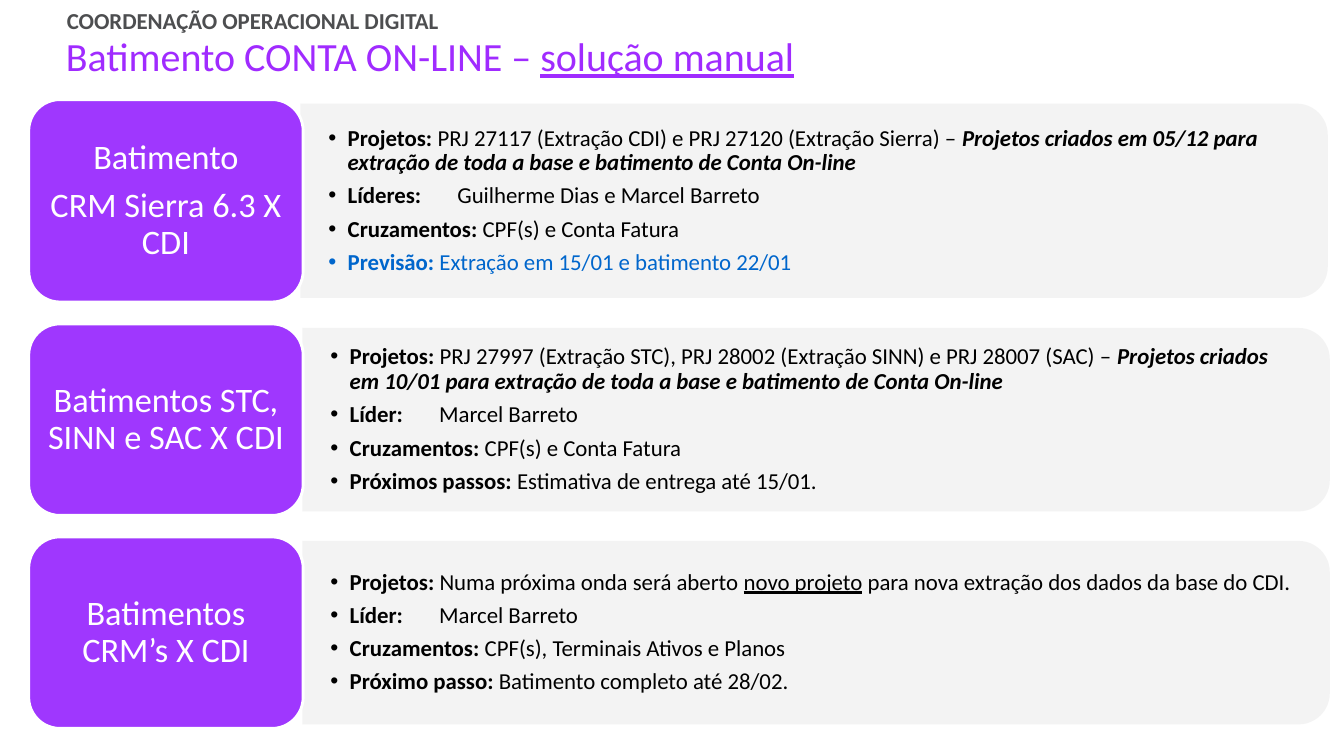
import math

from lxml import etree
from pptx import Presentation
from pptx.dml.color import RGBColor
from pptx.enum import shapes, text
from pptx.oxml import ns
from pptx.util import Cm, Pt

PURPLE = RGBColor(0x9F, 0x37, 0xFE)
TITLE_PURPLE = RGBColor(0xA0, 0x2B, 0xFF)
GRAY = RGBColor(0x4D, 0x4E, 0x50)
PANEL_GRAY = RGBColor(0xF2, 0xF2, 0xF2)
WHITE = RGBColor(0xFF, 0xFF, 0xFF)
BLACK = RGBColor(0, 0, 0)
BLUE = RGBColor(0, 0x66, 0xCC)

LABEL_LEFT, LABEL_WIDTH = 0.71, 6.78
PANEL_WIDTH = 25.38
PANEL_INSET = 0.1
RADIUS = 0.77

# Each item: colour, tab stop in cm (or None), then runs of (text, style letters)
STAGES = [
    dict(top=2.46, height=5, panel_left=7.42,
         label=["Batimento", "CRM Sierra 6.3 X CDI"],
         items=[
             (BLACK, None, [
                 ("Projetos: ", "b"),
                 ("PRJ 27117 (Extração CDI) e PRJ 27120 (Extração Sierra) – ", ""),
                 ("Projetos criados em 05/12 para extração de toda a base "
                  "e batimento de Conta On-line", "bi")]),
             (BLACK, 3.19, [("Líderes:\t", "b"),
                            ("Guilherme Dias e Marcel Barreto", "")]),
             (BLACK, None, [("Cruzamentos:", "b"), (" CPF(s) e Conta Fatura", "")]),
             (BLUE, None, [("Previsão: ", "b"),
                           ("Extração em 15/01 e batimento 22/01", "")]),
         ]),
    dict(top=8, height=4.73, panel_left=7.47,
         label=["Batimentos STC, SINN e SAC X CDI"],
         items=[
             (BLACK, None, [
                 ("Projetos: ", "b"),
                 ("PRJ 27997 (Extração STC), PRJ 28002 (Extração SINN) "
                  "e PRJ 28007 (SAC) – ", ""),
                 ("Projetos criados em 10/01 para extração de toda a base "
                  "e batimento de Conta On-line", "bi")]),
             (BLACK, 2.69, [("Líder:\t", "b"), ("Marcel Barreto", "")]),
             (BLACK, None, [("Cruzamentos: ", "b"), ("CPF(s) e Conta Fatura", "")]),
             (BLACK, None, [("Próximos passos: ", "b"),
                            ("Estimativa de entrega até 15/01.", "")]),
         ]),
    dict(top=13.26, height=4.73, panel_left=7.47,
         label=["Batimentos CRM’s X CDI"],
         items=[
             (BLACK, None, [
                 ("Projetos: ", "b"), ("Numa próxima onda será aberto ", ""),
                 ("novo projeto", "u"),
                 (" para nova extração dos dados da base do CDI.", "")]),
             (BLACK, 2.69, [("Líder:\t", "b"), ("Marcel Barreto", "")]),
             (BLACK, None, [("Cruzamentos:", "b"),
                            (" CPF(s), Terminais Ativos e Planos", "")]),
             (BLACK, None, [("Próximo passo:", "b"),
                            (" Batimento completo até 28/02.", "")]),
         ]),
]


def format_frame(frame, anchor, left, top, right, bottom):
    settings = dict(word_wrap=True, auto_size=text.MSO_AUTO_SIZE.NONE,
                    vertical_anchor=anchor, margin_left=Cm(left),
                    margin_top=Cm(top), margin_right=Cm(right),
                    margin_bottom=Cm(bottom))
    for name, value in settings.items():
        setattr(frame, name, value)


def add_run(paragraph, words, size, color, style=""):
    """Style letters: b bold, i italic, u underline."""
    run = paragraph.add_run()
    run.text = words
    settings = dict(name="Calibri", size=Pt(size), bold="b" in style,
                    italic="i" in style, underline="u" in style)
    for name, value in settings.items():
        setattr(run.font, name, value)
    run.font.color.rgb = color


def next_paragraph(frame, index):
    return frame.add_paragraph() if index else frame.paragraphs[0]


def add_bullet(paragraph, tab):
    props = paragraph._p.get_or_add_pPr()
    props.set("marL", str(Cm(0.48)))
    props.set("indent", str(-Cm(0.48)))
    etree.SubElement(props, ns.qn("a:buFont"), typeface="Arial")
    etree.SubElement(props, ns.qn("a:buChar"), char="•")
    if tab:
        tabs = etree.SubElement(props, ns.qn("a:tabLst"))
        etree.SubElement(tabs, ns.qn("a:tab"), pos=str(Cm(tab)), algn="l")


def add_heading(slide):
    title = slide.shapes.title
    title.left, title.top = Cm(1.63), Cm(0.79)
    title.width, title.height = Cm(29.8), Cm(1.12)
    format_frame(title.text_frame, text.MSO_ANCHOR.TOP, 0, 0, 0, 0)
    line = title.text_frame.paragraphs[0]
    line.alignment = text.PP_ALIGN.LEFT
    add_run(line, "Batimento CONTA ON-LINE – ", 28, TITLE_PURPLE)
    add_run(line, "solução manual", 28, TITLE_PURPLE, "u")

    area = slide.shapes.add_textbox(Cm(1.32), Cm(0.1), Cm(28.27), Cm(0.79))
    format_frame(area.text_frame, text.MSO_ANCHOR.MIDDLE, 0.33, 0.18, 0.33, 0.18)
    add_run(area.text_frame.paragraphs[0], "COORDENAÇÃO OPERACIONAL DIGITAL",
            16, GRAY, "b")


def right_rounded_outline(left, top, width, height, steps=12):
    """Corner points, clockwise, with both right corners rounded."""
    right, bottom = left + width, top + height
    points = [(left, top)]
    for start, center_y in ((-90, top + RADIUS), (0, bottom - RADIUS)):
        for step in range(steps + 1):
            angle = math.radians(start + 90 * step / steps)
            points.append((right - RADIUS + RADIUS * math.cos(angle),
                           center_y + RADIUS * math.sin(angle)))
    points.append((left, bottom))
    return [(Cm(x), Cm(y)) for x, y in points]


def add_panel(slide, stage):
    outline = right_rounded_outline(
        stage["panel_left"], stage["top"] + PANEL_INSET,
        PANEL_WIDTH, stage["height"] - 2 * PANEL_INSET)
    builder = slide.shapes.build_freeform(*outline[0])
    builder.add_line_segments(outline[1:], close=True)
    panel = builder.convert_to_shape()
    panel.shadow.inherit = False
    panel.fill.solid()
    panel.fill.fore_color.rgb = PANEL_GRAY
    color = panel.fill._xPr.find(".//" + ns.qn("a:srgbClr"))
    etree.SubElement(color, ns.qn("a:alpha"), val="90000")
    panel.line.fill.background()

    frame = panel.text_frame
    format_frame(frame, text.MSO_ANCHOR.MIDDLE, 0.69, 0.56, 0.91, 0.56)
    for index, (color, tab, runs) in enumerate(stage["items"]):
        paragraph = next_paragraph(frame, index)
        add_bullet(paragraph, tab)
        paragraph.alignment = text.PP_ALIGN.LEFT
        paragraph.line_spacing, paragraph.space_after = 0.9, Pt(6)
        for words, style in runs:
            add_run(paragraph, words, 16, color, style)


def add_label(slide, stage):
    label = slide.shapes.add_shape(
        shapes.MSO_SHAPE.ROUNDED_RECTANGLE, Cm(LABEL_LEFT), Cm(stage["top"]),
        Cm(LABEL_WIDTH), Cm(stage["height"]))
    label.adjustments[0] = RADIUS / stage["height"]
    label.shadow.inherit = False
    label.fill.solid()
    label.fill.fore_color.rgb = PURPLE
    label.line.color.rgb = WHITE
    label.line.width = Pt(2)

    frame = label.text_frame
    format_frame(frame, text.MSO_ANCHOR.MIDDLE, 0.25, 0.13, 0.25, 0.13)
    for index, words in enumerate(stage["label"]):
        paragraph = next_paragraph(frame, index)
        paragraph.alignment = text.PP_ALIGN.CENTER
        paragraph.line_spacing, paragraph.space_after = 0.9, Pt(8)
        add_run(paragraph, words, 24, WHITE)


def main():
    deck = Presentation()
    deck.slide_width, deck.slide_height = Cm(33.2), Cm(18.67)
    slide = deck.slides.add_slide(deck.slide_layouts[5])
    add_heading(slide)
    for stage in STAGES:
        add_panel(slide, stage)
        add_label(slide, stage)
    deck.save("out.pptx")


if __name__ == "__main__":
    main()
